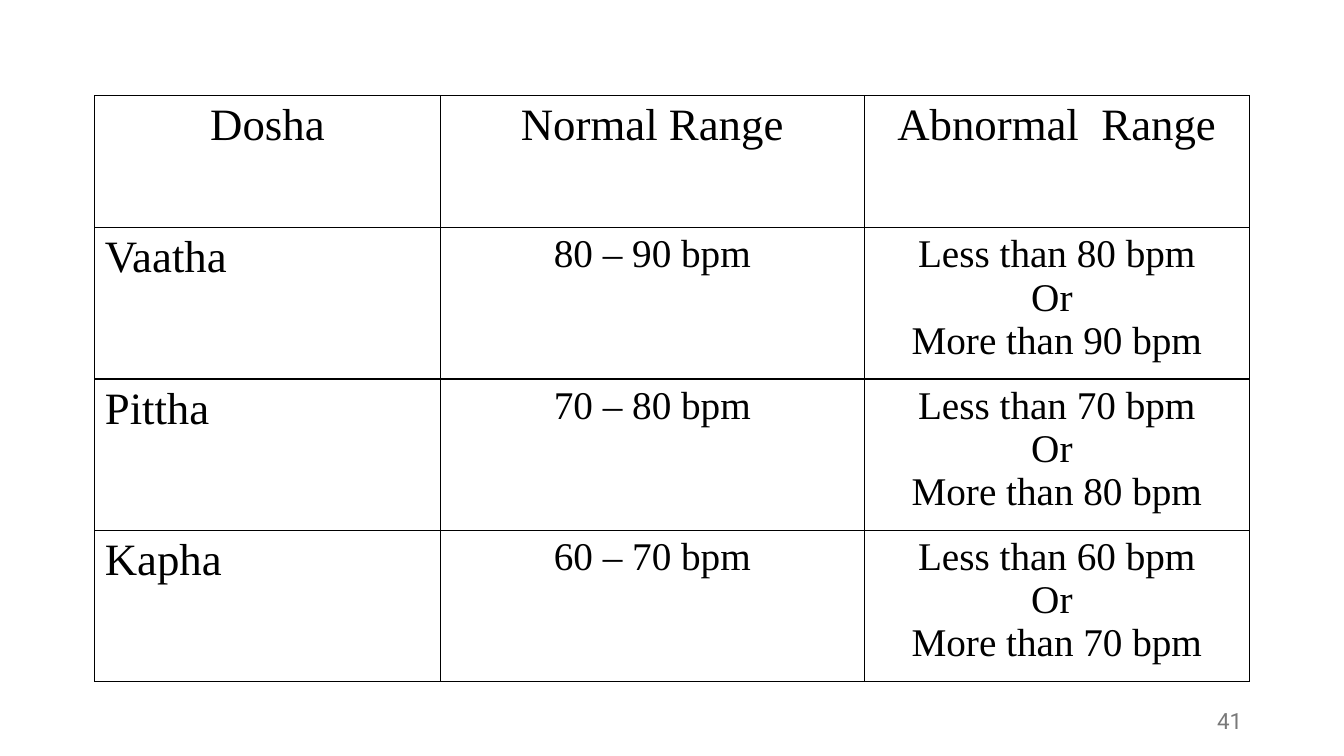
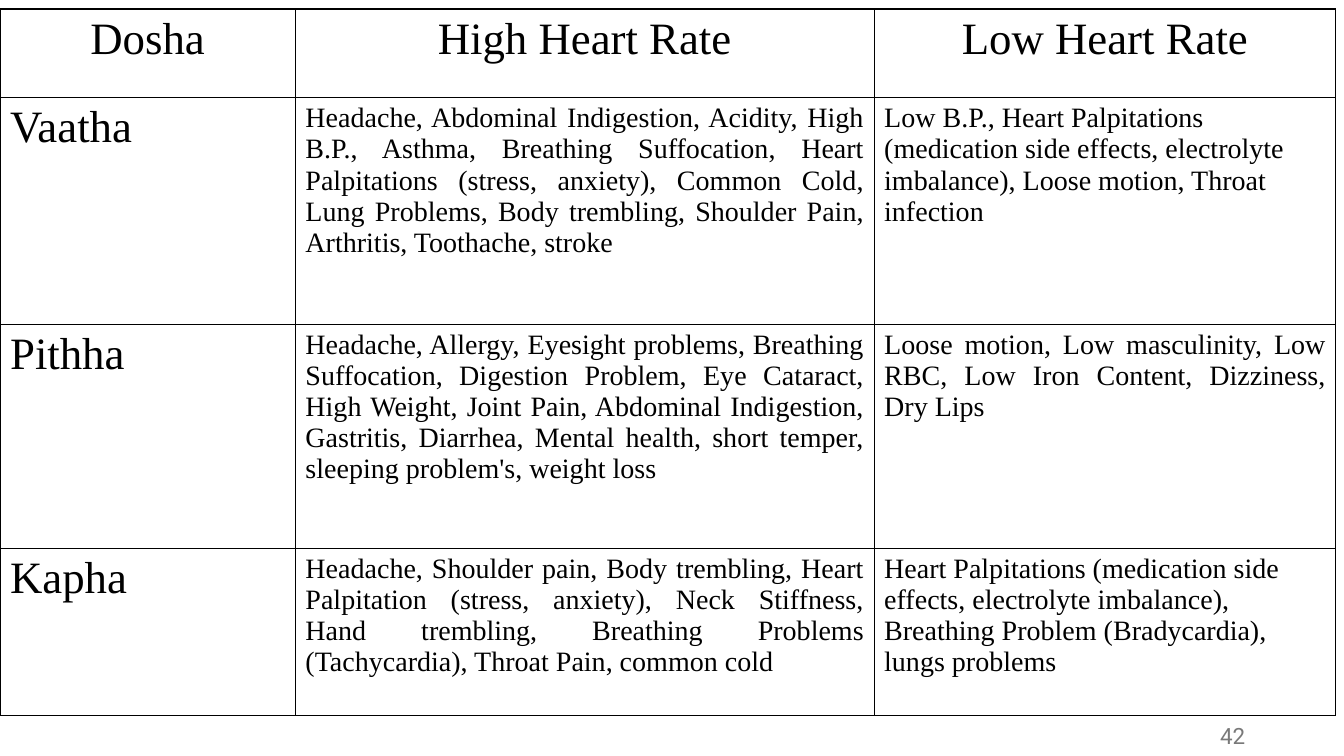
"""Build two slides of pulse ranges and symptoms for each dosha."""
from dataclasses import dataclass
from itertools import product

from lxml import etree
from pptx import Presentation
from pptx import util as u
from pptx.dml import color
from pptx.enum import text
from pptx.oxml import ns

ALIGN = text.PP_ALIGN


@dataclass(frozen=True)
class Theme:
    """Colours, fonts and type sizes in points."""
    ink: str = "000000"
    paper: str = "FFFFFF"
    muted: str = "797979"
    serif: str = "Times New Roman"
    sans: str = "Roboto"
    heading: int = 32
    reading: int = 28
    detail: int = 20
    number: int = 16
    border: int = 1


THEME = Theme()


@dataclass(frozen=True)
class Frame:
    """A box in percent of the slide's width and height."""
    left: float
    top: float
    width: float
    height: float

    def place(self, deck) -> tuple[int, int, int, int]:
        """Return the box in slide units."""
        wide, high = deck.slide_width / 100, deck.slide_height / 100
        return (round(self.left * wide), round(self.top * high),
                round(self.width * wide), round(self.height * high))


@dataclass(frozen=True)
class Entry:
    """The wording and format of one table cell."""
    wording: str
    size: int = THEME.heading
    align: ALIGN = ALIGN.LEFT


@dataclass(frozen=True)
class DoshaPage:
    """One slide: a table on weighted tracks and a page number."""
    number: str
    number_frame: Frame
    table_frame: Frame
    columns: tuple[float, ...]
    rows: tuple[float, ...]
    headings: tuple[str, ...]
    body: tuple[tuple[Entry, ...], ...]

    def entries(self) -> tuple[tuple[Entry, ...], ...]:
        """Return the heading row followed by the body rows."""
        head = tuple(Entry(word, align=ALIGN.CENTER) for word in self.headings)
        return (head, *self.body)


def pulse_row(dosha: str, low: int) -> tuple[Entry, ...]:
    """Describe a normal range of ten beats and what lies outside it."""
    high = low + 10
    normal = f"{low} – {high} bpm"
    abnormal = f"Less than {low} bpm\nOr \nMore than {high} bpm"
    return (Entry(dosha), *(Entry(words, THEME.reading, ALIGN.CENTER)
                            for words in (normal, abnormal)))


def symptom_row(dosha: str, high: str, low: str,
                low_align: ALIGN = ALIGN.LEFT) -> tuple[Entry, ...]:
    """Describe the symptoms of a high and a low heart rate."""
    return (Entry(dosha), Entry(high, THEME.detail, ALIGN.JUSTIFY),
            Entry(low, THEME.detail, low_align))


PAGES = (
    DoshaPage(
        "41", Frame(70.67, 92.67, 22.5, 5.33), Frame(7.05, 12.67, 85.9, 77.47),
        (3.43, 4.21, 3.82), (1.31, 1.5, 1.5, 1.5),
        ("Dosha", "Normal Range", "Abnormal  Range"),
        (pulse_row("Vaatha", 80), pulse_row("Pittha", 70), pulse_row("Kapha", 60)),
    ),
    DoshaPage(
        "42", Frame(70.89, 94.67, 22.5, 5.33), Frame(0, 1.2, 99.4, 93.47),
        (2.93, 5.74, 4.58), (0.88, 2.25, 2.22, 1.66),
        ("Dosha", "High Heart Rate", "Low Heart Rate"),
        (
            symptom_row(
                "Vaatha",
                "Headache, Abdominal Indigestion, Acidity, High B.P., Asthma, "
                "Breathing Suffocation, Heart Palpitations (stress, anxiety), "
                "Common Cold, Lung Problems, Body trembling, Shoulder Pain, "
                "Arthritis, Toothache, stroke",
                "Low B.P., Heart Palpitations (medication side effects, "
                "electrolyte imbalance), Loose motion, Throat infection"),
            symptom_row(
                "Pithha",
                "Headache, Allergy, Eyesight problems, Breathing Suffocation, "
                "Digestion Problem, Eye Cataract, High Weight, Joint Pain, "
                "Abdominal Indigestion, Gastritis, Diarrhea, Mental health, "
                "short temper, sleeping problem's, weight loss",
                "Loose motion, Low masculinity, Low RBC, Low Iron Content, "
                "Dizziness, Dry Lips", ALIGN.JUSTIFY),
            symptom_row(
                "Kapha",
                "Headache, Shoulder pain, Body trembling, Heart Palpitation "
                "(stress, anxiety), Neck Stiffness, Hand trembling, Breathing "
                "Problems (Tachycardia), Throat Pain, common cold",
                "Heart Palpitations (medication side effects, electrolyte "
                "imbalance), Breathing Problem (Bradycardia), lungs problems"),
        ),
    ),
)


def write(frame, entry: Entry, font: str, ink: str) -> None:
    """Write an entry into a text frame, one paragraph a line."""
    for index, line in enumerate(entry.wording.split("\n")):
        para = frame.add_paragraph() if index else frame.paragraphs[0]
        para.alignment = entry.align
        span = para.add_run()
        span.text = line
        formats = {"name": font, "size": u.Pt(entry.size), "bold": False}
        for name, value in formats.items():
            setattr(span.font, name, value)
        span.font.color.rgb = color.RGBColor.from_string(ink)


def outline(cell) -> None:
    """Draw a thin solid border on all four sides of a cell."""
    properties = cell._tc.get_or_add_tcPr()
    for side in ("lnL", "lnR", "lnT", "lnB"):
        line = etree.SubElement(properties, ns.qn(f"a:{side}"),
                                w=str(u.Pt(THEME.border)))
        fill = etree.SubElement(line, ns.qn("a:solidFill"))
        etree.SubElement(fill, ns.qn("a:srgbClr"), val=THEME.ink)


def size_tracks(tracks, name: str, weights: tuple[float, ...], total: int) -> None:
    """Share a length among table columns or rows by weight."""
    for track, weight in zip(tracks, weights):
        setattr(track, name, round(total * weight / sum(weights)))


def draw_table(deck, page, plan: DoshaPage) -> None:
    """Draw the bordered table of a slide."""
    place = plan.table_frame.place(deck)
    table = page.shapes.add_table(len(plan.rows), len(plan.columns), *place).table
    for name in ("first_row", "horz_banding"):
        setattr(table, name, False)
    size_tracks(table.columns, "width", plan.columns, place[2])
    size_tracks(table.rows, "height", plan.rows, place[3])
    entries = plan.entries()
    for row, column in product(range(len(plan.rows)), range(len(plan.columns))):
        cell = table.cell(row, column)
        outline(cell)
        cell.fill.solid()
        cell.fill.fore_color.rgb = color.RGBColor.from_string(THEME.paper)
        write(cell.text_frame, entries[row][column], THEME.serif, THEME.ink)


def draw_number(deck, page, plan: DoshaPage) -> None:
    """Draw the page number at the lower right."""
    box = page.shapes.add_textbox(*plan.number_frame.place(deck))
    formats = {"word_wrap": True, "vertical_anchor": text.MSO_ANCHOR.MIDDLE}
    for name, value in formats.items():
        setattr(box.text_frame, name, value)
    entry = Entry(plan.number, THEME.number, ALIGN.RIGHT)
    write(box.text_frame, entry, THEME.sans, THEME.muted)


def main() -> None:
    """Build and save the deck."""
    deck = Presentation()
    deck.slide_width, deck.slide_height = u.Inches(13.33), u.Inches(7.5)
    for plan in PAGES:
        page = deck.slides.add_slide(deck.slide_layouts[6])
        draw_table(deck, page, plan)
        draw_number(deck, page, plan)
    deck.save("out.pptx")


if __name__ == "__main__":
    main()
